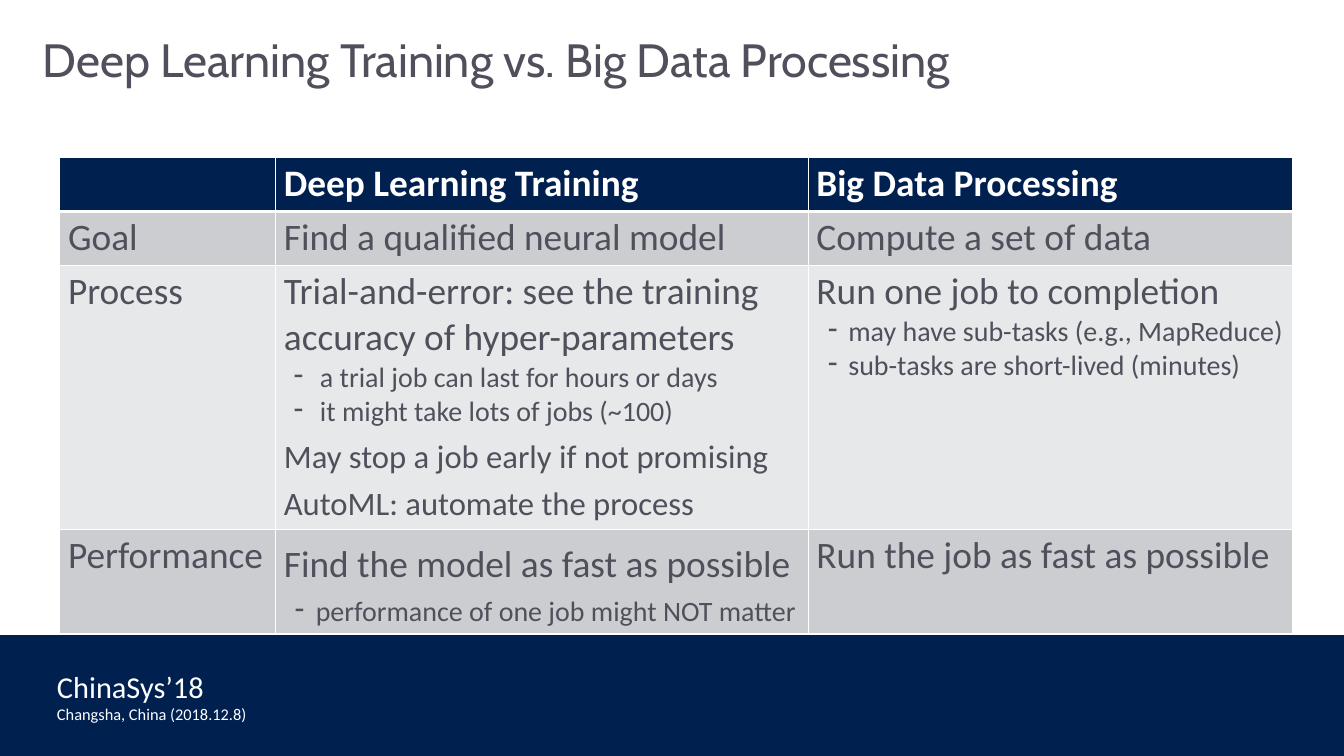
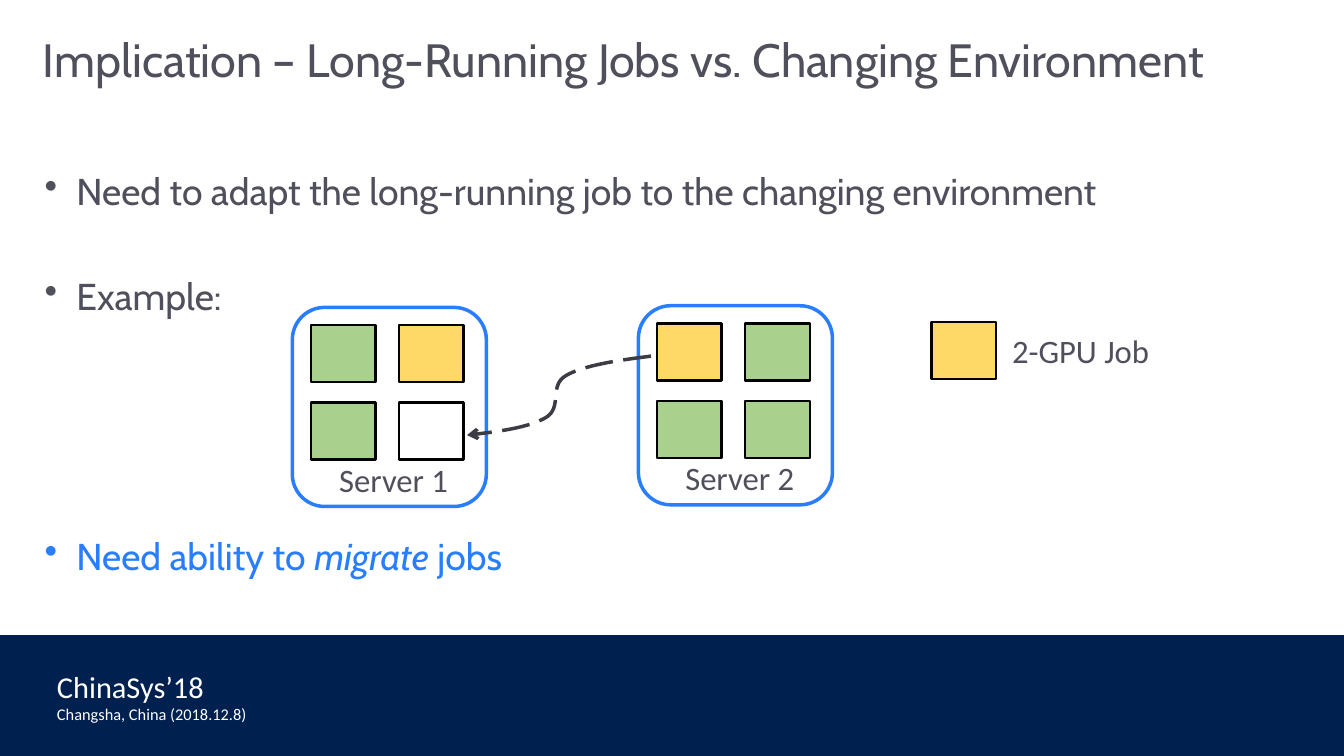
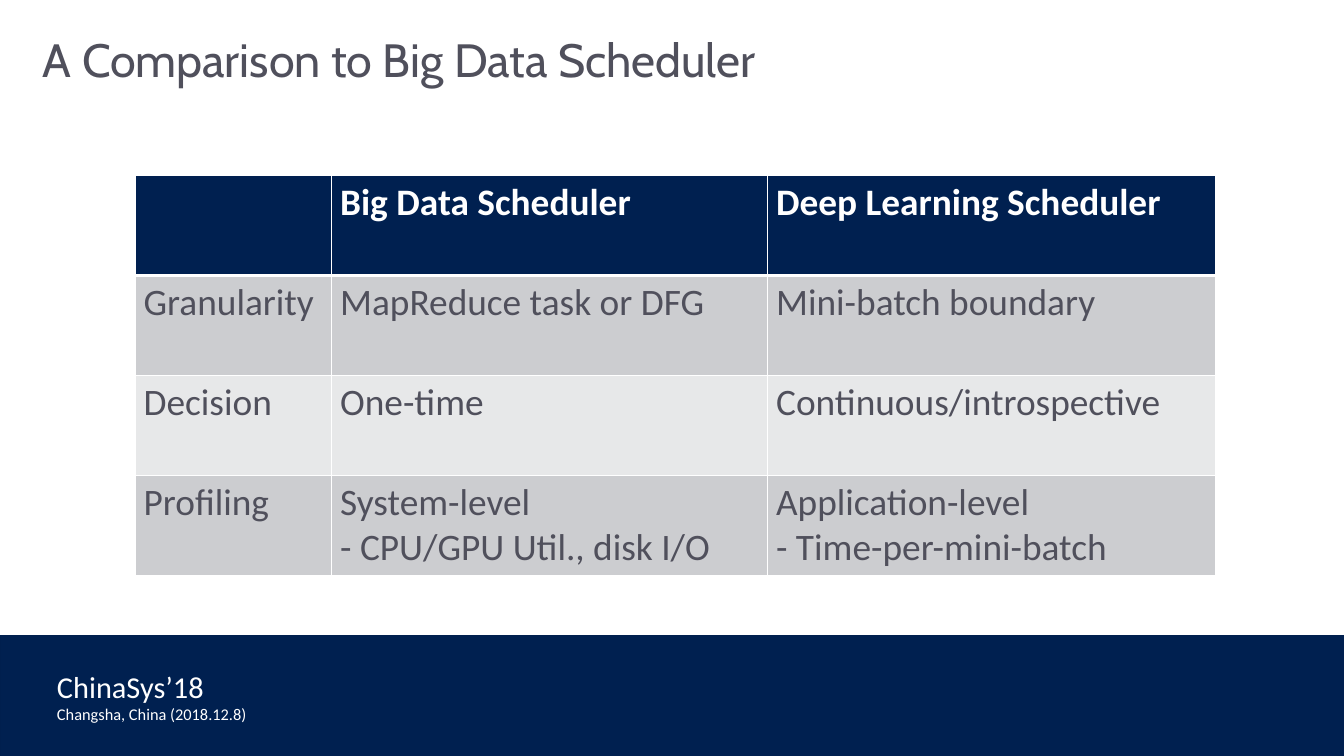
import pptx
import pptx.dml.color
import pptx.enum.dml
import pptx.enum.shapes
import pptx.enum.text
import pptx.oxml
import pptx.oxml.ns
import pptx.util


class Theme:
    navy, edge, white, ink = "002050", "001F4E", "FFFFFF", "50505C"
    blue, green, gold, black = "287EFF", "A9D08D", "FFD967", "000000"
    arrow, bands = "3C3C45", ("CCCDD0", "E7E8E9")
    head, body = "Cabin", "Calibri"
    title, large, label, place, sub, small = 40, 32, 28, 26, 24, 14


COLS, ROWS = 16, 9
UNIT = 914400
SHAPE = pptx.enum.shapes.MSO_SHAPE

STYLES = {
    "main": dict(size=Theme.large),
    "loose": dict(size=Theme.large, lead=1.2),
    "note": dict(size=Theme.label, lead=1.2),
    "far": dict(size=Theme.sub, mark="-", left=0.43, hang=0.31),
    "dash": dict(size=Theme.sub, mark="-", left=0.38, hang=0.24),
    "last": dict(size=Theme.sub, mark="-", left=0.38, hang=0.25, lead=1.2),
}

FOOTER = [("ChinaSys’18", Theme.place), ("Changsha, China (2018.12.8)", Theme.small)]

TABLES = [
    {
        "title": "Deep Learning Training vs. Big Data Processing",
        "at": (0.71, 1.87),
        "cols": (2.57, 6.34, 5.77),
        "rows": (0.64, 0.64, 3.14, 1.23),
        "cells": [
            ["", "Deep Learning Training", "Big Data Processing"],
            ["Goal", "Find a qualified neural model", "Compute a set of data"],
            [
                "Process",
                [
                    ("main", "Trial-and-error: see the training accuracy of hyper-parameters"),
                    ("far", "a trial job can last for hours or days"),
                    ("far", "it might take lots of jobs (~100)"),
                    ("note", "May stop a job early if not promising"),
                    ("note", "AutoML: automate the process"),
                ],
                [
                    ("main", "Run one job to completion"),
                    ("dash", "may have sub-tasks (e.g., MapReduce)"),
                    ("dash", "sub-tasks are short-lived (minutes)"),
                ],
            ],
            [
                "Performance",
                [
                    ("loose", "Find the model as fast as possible"),
                    ("last", "performance of one job might NOT matter"),
                ],
                "Run the job as fast as possible",
            ],
        ],
    },
    {
        "title": "A Comparison to Big Data Scheduler",
        "at": (1.61, 2.09),
        "cols": (2.34, 5.19, 5.33),
        "rows": (1.19,) * 4,
        "cells": [
            ["", "Big Data Scheduler", "Deep Learning Scheduler"],
            ["Granularity", "MapReduce task or DFG", "Mini-batch boundary"],
            ["Decision", "One-time", "Continuous/introspective"],
            [
                "Profiling",
                [("main", "System-level"), ("main", "- CPU/GPU Util., disk I/O")],
                [("main", "Application-level"), ("main", "- Time-per-mini-batch")],
            ],
        ],
    },
]

MOVE = {
    "title": "Implication – Long-Running Jobs vs. Changing Environment",
    "points": [
        (0, Theme.ink, [("Need to adapt the long-running job to the changing environment", False)]),
        (52, Theme.ink, [("Example:", False)]),
        (184, Theme.blue, [("Need ability to ", False), ("migrate", True), (" jobs", False)]),
    ],
    "servers": [
        ("Server 1", 3.48, 3.66, [Theme.green, Theme.gold, Theme.green, None]),
        ("Server 2", 7.6, 3.64, [Theme.gold, Theme.green, Theme.green, Theme.green]),
    ],
    "key": "2-GPU Job",
    "start": (7.75, 4.24),
    "curves": [
        ((7.35, 4.29), (6.95, 4.35), (6.74, 4.47)),
        ((6.53, 4.59), (6.7, 4.85), (6.5, 4.97)),
        ((6.3, 5.09), (5.93, 5.14), (5.56, 5.18)),
    ],
}
GPU = (0.77, 0.68)
SERVER = (2.31, 2.37)
STEP = (1.05, 0.92)
INSET = (0.22, 0.21)


def grid(*units):
    return [round(unit * UNIT) for unit in units]


def tint(name):
    return pptx.dml.color.RGBColor.from_string(name)


def node(xml):
    space = pptx.oxml.ns.nsdecls("a")
    return pptx.oxml.parse_xml(xml.replace("/>", f" {space}/>", 1) if xml.endswith("/>") and xml.count("<") == 1
                               else xml.replace(">", f" {space}>", 1))


def add_run(para, text, size, color, face=Theme.body, bold=False, slant=False):
    run = para.add_run()
    run.text = text
    font = run.font
    font.size, font.name = pptx.util.Pt(size), face
    font.bold, font.italic = bold, slant
    font.color.rgb = tint(color)


def next_para(frame, index):
    return frame.add_paragraph() if index else frame.paragraphs[0]


def bullet(para, mark, left, hang):
    props = para._p.get_or_add_pPr()
    props.set("marL", str(grid(left)[0]))
    props.set("indent", str(-grid(hang)[0]))
    props.append(node(f'<a:buChar char="{mark}"/>'))


def inset(frame):
    frame.margin_left = frame.margin_right = grid(0.14)[0]
    frame.margin_top = frame.margin_bottom = grid(0.07)[0]
    frame.vertical_anchor = pptx.enum.text.MSO_ANCHOR.TOP


def add_box(slide, kind, at, fill, line, width):
    box = slide.shapes.add_shape(kind, *grid(*at))
    paint(box, fill, line, width)
    return box


def paint(box, fill, line, width):
    box.shadow.inherit = False
    if fill:
        box.fill.solid()
        box.fill.fore_color.rgb = tint(fill)
    else:
        box.fill.background()
    box.line.color.rgb = tint(line)
    box.line.width = pptx.util.Pt(width)


def add_label(slide, at, lines, color):
    box = slide.shapes.add_textbox(*grid(*at))
    frame = box.text_frame
    frame.word_wrap = False
    frame.auto_size = pptx.enum.text.MSO_AUTO_SIZE.SHAPE_TO_FIT_TEXT
    for index, (text, size) in enumerate(lines):
        add_run(next_para(frame, index), text, size, color)
    return box


def share_footer(slide):
    layout = slide.slide_layout
    for holder in list(layout.placeholders):
        if holder.placeholder_format.idx >= 10:
            layout.shapes.element.remove(holder.element)
    band = add_box(slide, SHAPE.RECTANGLE, (0, 7.57, COLS, 1.43), Theme.navy, Theme.edge, 0.75)
    label = add_label(slide, (0.58, 7.9, 2.48, 0.77), FOOTER, Theme.white)
    for part in (band, label):
        layout.shapes.element.append(part.element)


def add_slide(deck, title):
    slide = deck.slides.add_slide(deck.slide_layouts[5])
    holder = slide.shapes.title
    holder.left, holder.top, holder.width, holder.height = grid(0.37, 0.3, 15.18, 0.98)
    frame = holder.text_frame
    inset(frame)
    frame.word_wrap = True
    frame.auto_size = pptx.enum.text.MSO_AUTO_SIZE.NONE
    para = frame.paragraphs[0]
    para.alignment = pptx.enum.text.PP_ALIGN.LEFT
    add_run(para, title, Theme.title, Theme.ink, Theme.head)
    return slide


def fill_cell(cell, content, row):
    props = cell._tc.get_or_add_tcPr()
    for side in "LRTB":
        thick = 3 if (row, side) in ((0, "B"), (1, "T")) else 1
        props.append(node(f'<a:ln{side} w="{thick * 12700}"><a:solidFill>'
                          f'<a:srgbClr val="{Theme.white}"/></a:solidFill></a:ln{side}>'))
    cell.fill.solid()
    cell.fill.fore_color.rgb = tint(Theme.bands[(row - 1) % 2] if row else Theme.navy)
    if not content:
        return
    lines = [("main", content)] if isinstance(content, str) else content
    for index, (name, text) in enumerate(lines):
        style = STYLES[name]
        para = next_para(cell.text_frame, index)
        if "mark" in style:
            bullet(para, style["mark"], style["left"], style["hang"])
        if "lead" in style:
            para.line_spacing = style["lead"]
        add_run(para, text, style["size"], Theme.ink if row else Theme.white, bold=not row)


def table_slide(deck, data):
    slide = add_slide(deck, data["title"])
    cols, rows = data["cols"], data["rows"]
    place = grid(*data["at"], sum(cols), sum(rows))
    table = slide.shapes.add_table(len(rows), len(cols), *place).table
    for col, width in zip(table.columns, grid(*cols)):
        col.width = width
    for row, height in zip(table.rows, grid(*rows)):
        row.height = height
    for row, line in enumerate(data["cells"]):
        for col, content in enumerate(line):
            fill_cell(table.cell(row, col), content, row)
    return slide


def add_points(slide, points):
    frame = slide.shapes.add_textbox(*grid(0.39, 1.93, 15.3, 5.55)).text_frame
    frame.word_wrap = True
    inset(frame)
    for index, (gap, color, runs) in enumerate(points):
        para = next_para(frame, index)
        bullet(para, "•", 0.38, 0.38)
        if gap:
            para.space_before = pptx.util.Pt(gap)
        for text, slant in runs:
            add_run(para, text, Theme.large, color, Theme.head, slant=slant)


def add_gpu(slide, x, y, fill):
    add_box(slide, SHAPE.RECTANGLE, (x, y, *GPU), fill, Theme.black, 2)


def add_server(slide, name, x, y, fills):
    add_box(slide, SHAPE.ROUNDED_RECTANGLE, (x, y, *SERVER), None, Theme.blue, 3)
    for index, fill in enumerate(fills):
        row, col = divmod(index, 2)
        add_gpu(slide, x + INSET[0] + col * STEP[0], y + INSET[1] + row * STEP[1], fill)
    add_label(slide, (x + 0.46, y + 1.76, 1.51, 0.57), [(name, Theme.label)], Theme.ink)


def trace(start, curves, count=16):
    points = []
    for one, two, end in curves:
        for step in range(1, count + 1):
            t = step / count
            s = 1 - t
            points.append(tuple(
                s ** 3 * a + 3 * s * s * t * b + 3 * s * t * t * c + t ** 3 * d
                for a, b, c, d in zip(start, one, two, end)))
        start = end
    return points


def add_arrow(slide, start, curves):
    pen = slide.shapes.build_freeform(*grid(*start))
    pen.add_line_segments([grid(*point) for point in trace(start, curves)], close=False)
    arrow = pen.convert_to_shape()
    paint(arrow, None, Theme.arrow, 3)
    arrow.line.dash_style = pptx.enum.dml.MSO_LINE.LONG_DASH
    arrow.line._get_or_add_ln().append(node('<a:tailEnd type="arrow"/>'))


def move_slide(deck, data):
    slide = add_slide(deck, data["title"])
    add_points(slide, data["points"])
    for server in data["servers"]:
        add_server(slide, *server)
    add_arrow(slide, data["start"], data["curves"])
    add_gpu(slide, 11.09, 3.83, Theme.gold)
    add_label(slide, (11.95, 3.89, 1.85, 0.57), [(data["key"], Theme.label)], Theme.ink)


def main():
    deck = pptx.Presentation()
    deck.slide_width, deck.slide_height = grid(COLS, ROWS)
    first = table_slide(deck, TABLES[0])
    share_footer(first)
    move_slide(deck, MOVE)
    table_slide(deck, TABLES[1])
    deck.save("out.pptx")


if __name__ == "__main__":
    main()
